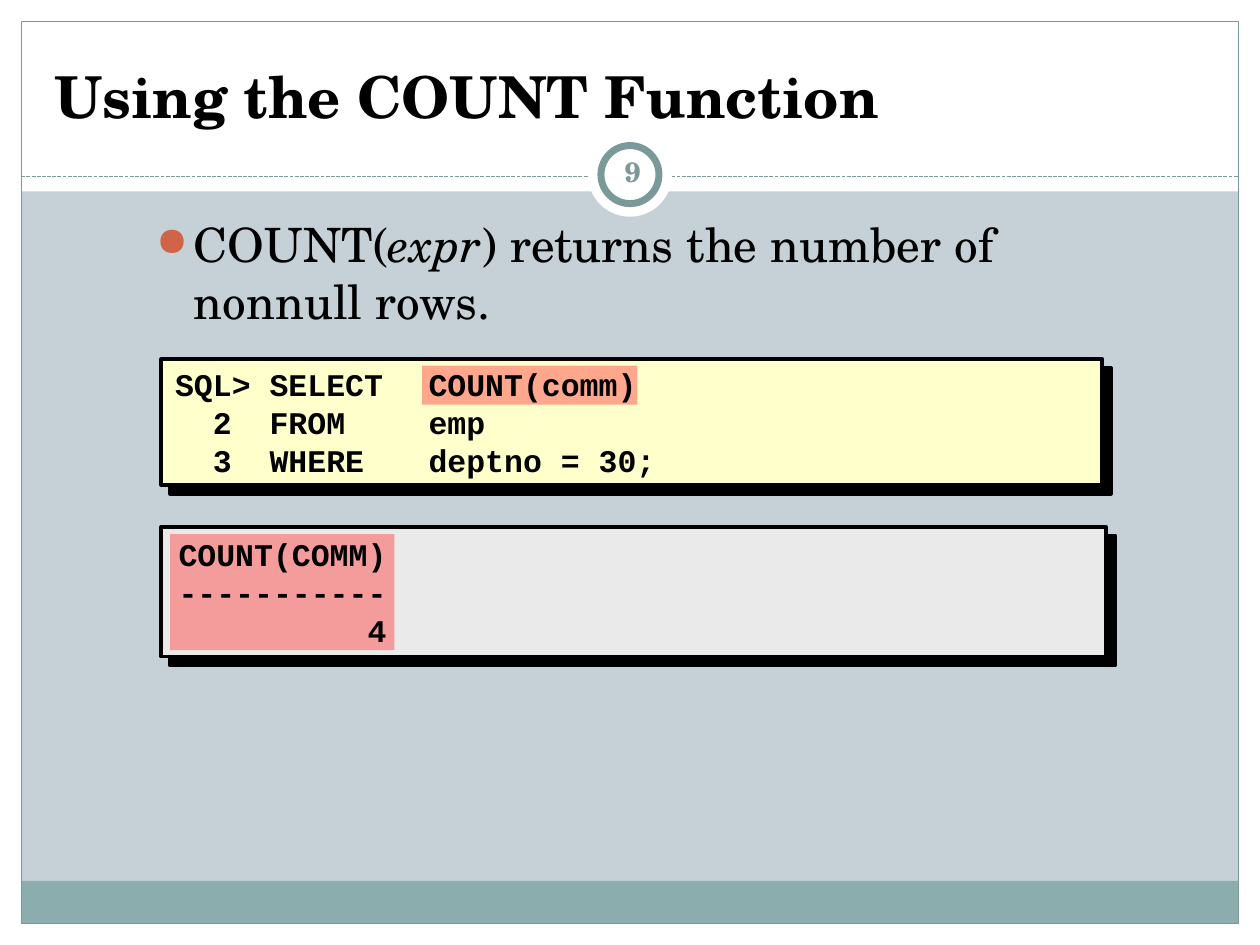
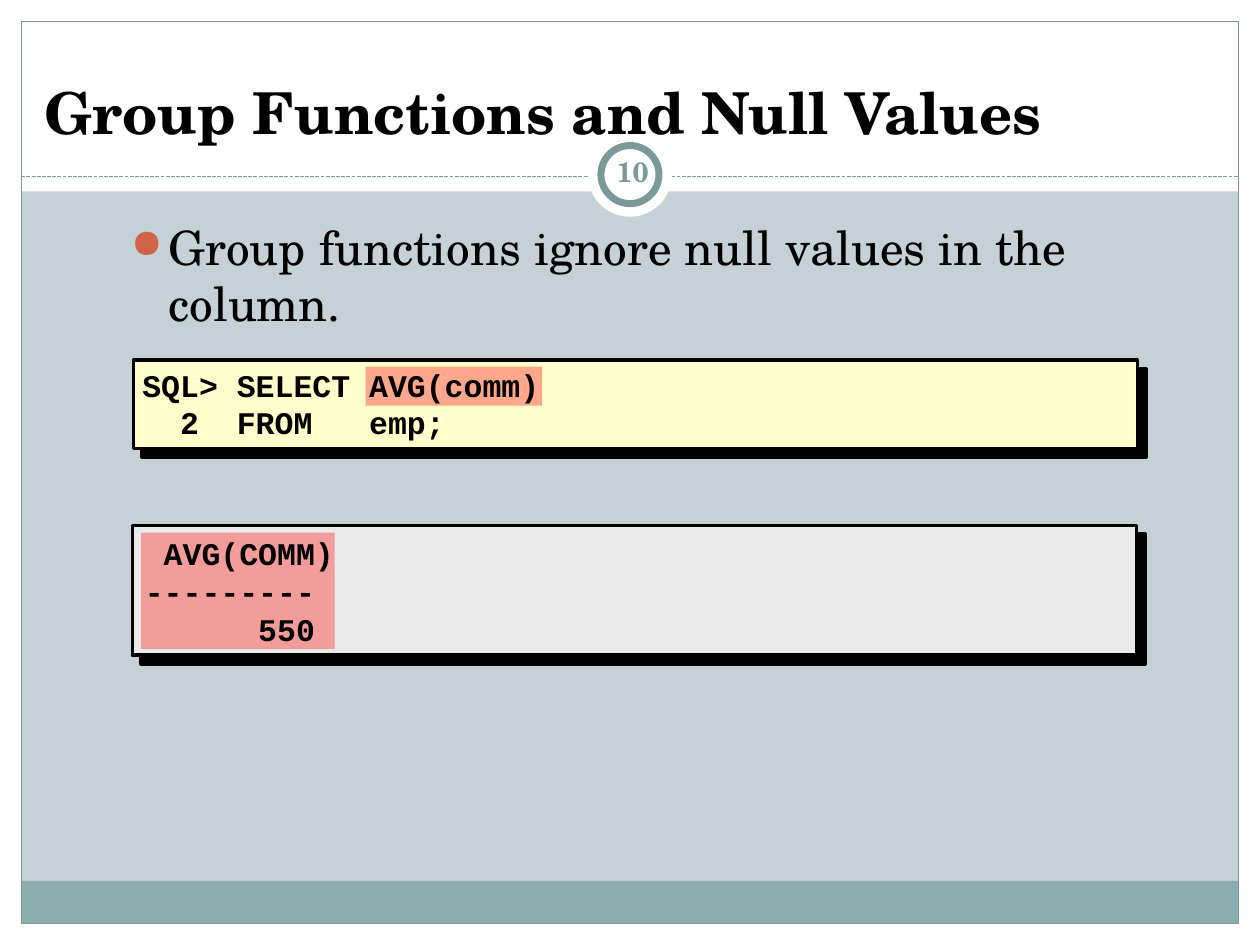
from dataclasses import dataclass
from typing import Any, NamedTuple

from lxml.etree import SubElement
from pptx import Presentation
from pptx.dml.color import RGBColor
from pptx.enum.dml import MSO_LINE
from pptx.enum.shapes import MSO_CONNECTOR, MSO_SHAPE
from pptx.enum.text import MSO_ANCHOR, MSO_AUTO_SIZE, PP_ALIGN
from pptx.oxml.ns import qn
from pptx.util import Cm, Pt

COLORS = {
    "background": "C5D1D7", "white": "FFFFFF", "footer": "8CADAE",
    "frame": "7C999A", "black": "000000", "query": "FFFFCC",
    "result": "EAEAEA", "highlight": "FF5050", "bullet": "D16349",
}
SERIF = "TeX Gyre Schola"
FORMATS = {
    "title": {"name": SERIF, "size": Pt(33), "bold": True},
    "body": {"name": SERIF, "size": Pt(27), "bold": False},
    "code": {"name": "Courier New", "size": Pt(18), "bold": True},
    "number": {"name": SERIF, "size": Pt(16), "bold": True},
}
WIDTH, HEIGHT, MARGIN = 25.4, 19.05, 0.43
INNER_WIDTH = WIDTH - 2 * MARGIN
HEADER_HEIGHT, FOOTER_HEIGHT = 3.86, 0.86
RULE_Y, BADGE_Y = 3.56, 3.52
CODE_TABS = (1.9, 5.11)


class Box(NamedTuple):
    """Left, top, width and height in centimetres."""
    left: float
    top: float
    width: float
    height: float

    def lengths(self) -> list[Cm]:
        return [Cm(value) for value in self]


class Phrase(NamedTuple):
    text: str
    italic: bool = False


@dataclass
class CodePanel:
    fill: str
    frame: Box
    highlight: Box
    text_area: Box
    lines: list[str]
    anchor: Any = MSO_ANCHOR.TOP


@dataclass
class Lesson:
    number: int
    title: str
    title_area: Box
    statement: list[Phrase]
    statement_area: Box
    panels: list[CodePanel]


def rgb(color: str) -> RGBColor:
    return RGBColor.from_string(COLORS[color])


def add_block(slide: Any, box: Box, fill: str | None = None, line: str | None = None,
              weight: float = 0.75, kind: Any = MSO_SHAPE.RECTANGLE) -> Any:
    block = slide.shapes.add_shape(kind, *box.lengths())
    block.shadow.inherit = False
    if fill:
        block.fill.solid()
        block.fill.fore_color.rgb = rgb(fill)
    else:
        block.fill.background()
    if line:
        block.line.color.rgb = rgb(line)
        block.line.width = Pt(weight)
    else:
        block.line.fill.background()
    return block


def apply_format(font: Any, style: str, color: str = "black") -> None:
    for attribute, value in FORMATS[style].items():
        setattr(font, attribute, value)
    font.color.rgb = rgb(color)


def add_text_area(slide: Any, box: Box, anchor: Any = MSO_ANCHOR.TOP) -> Any:
    frame = slide.shapes.add_textbox(*box.lengths()).text_frame
    frame.word_wrap = True
    frame.vertical_anchor = anchor
    return frame


def add_badge_disc(slide: Any, diameter: float, line: str | None = None) -> None:
    box = Box((WIDTH - diameter) / 2, BADGE_Y - diameter / 2, diameter, diameter)
    add_block(slide, box, "white", line, 4, MSO_SHAPE.OVAL)


def add_scenery(slide: Any) -> None:
    slide.background.fill.solid()
    slide.background.fill.fore_color.rgb = rgb("background")
    # White border, header and footer bands
    bottom = HEIGHT - MARGIN
    for box, fill in (
        (Box(0, bottom, WIDTH, MARGIN), "white"),
        (Box(0, 0, WIDTH, HEADER_HEIGHT), "white"),
        (Box(0, 0, MARGIN, HEIGHT), "white"),
        (Box(WIDTH - MARGIN, 0, MARGIN, HEIGHT), "white"),
        (Box(MARGIN, bottom - FOOTER_HEIGHT, INNER_WIDTH, FOOTER_HEIGHT), "footer"),
    ):
        add_block(slide, box, fill)
    add_block(slide, Box(MARGIN, MARGIN, INNER_WIDTH, HEIGHT - 2 * MARGIN), line="frame")
    # Dashed rule under the title
    rule = slide.shapes.add_connector(
        MSO_CONNECTOR.STRAIGHT, Cm(MARGIN), Cm(RULE_Y), Cm(WIDTH - MARGIN), Cm(RULE_Y))
    rule.line.color.rgb = rgb("frame")
    rule.line.width = Pt(0.75)
    rule.line.dash_style = MSO_LINE.SQUARE_DOT
    SubElement(rule.element.spPr, qn("a:effectLst"))
    # Badge for the slide number
    add_badge_disc(slide, 1.7)
    add_badge_disc(slide, 1.17, "frame")


def set_title(slide: Any, text: str, box: Box) -> None:
    title = slide.shapes.title
    title.left, title.top, title.width, title.height = box.lengths()
    title.element.getparent().append(title.element)  # in front of the header band
    frame = title.text_frame
    frame.text = text
    frame.auto_size = MSO_AUTO_SIZE.NONE
    frame.vertical_anchor = MSO_ANCHOR.BOTTOM
    frame.paragraphs[0].alignment = PP_ALIGN.LEFT
    apply_format(frame.paragraphs[0].runs[0].font, "title")


def add_statement(slide: Any, phrases: list[Phrase], box: Box) -> None:
    paragraph = add_text_area(slide, box).paragraphs[0]
    properties = paragraph._p.get_or_add_pPr()
    indent = Cm(0.76)
    properties.set("marL", str(indent))
    properties.set("indent", str(-indent))
    bullet_color = SubElement(properties, qn("a:buClr"))
    SubElement(bullet_color, qn("a:srgbClr"), val=COLORS["bullet"])
    SubElement(properties, qn("a:buSzPct"), val="85000")
    SubElement(properties, qn("a:buChar"), char="●")
    for phrase in phrases:
        run = paragraph.add_run()
        run.text = phrase.text
        apply_format(run.font, "body")
        run.font.italic = phrase.italic


def add_hard_shadow(block: Any) -> None:
    effects = block.element.spPr.find(qn("a:effectLst"))
    shadow = SubElement(effects, qn("a:outerShdw"), blurRad="0", dist=str(Cm(0.25)),
                        dir="2700000", algn="ctr", rotWithShape="0")
    SubElement(shadow, qn("a:srgbClr"), val=COLORS["black"])


def add_panel_frame(slide: Any, panel: CodePanel) -> None:
    add_hard_shadow(add_block(slide, panel.frame, panel.fill, "black", 2))


def add_highlight(slide: Any, panel: CodePanel) -> None:
    highlight = add_block(slide, panel.highlight, "highlight")
    color = highlight.element.spPr.find(qn("a:solidFill")).find(qn("a:srgbClr"))
    SubElement(color, qn("a:alpha"), val="50000")


def add_code(slide: Any, panel: CodePanel) -> None:
    frame = add_text_area(slide, panel.text_area, panel.anchor)
    for index, line in enumerate(panel.lines):
        paragraph = frame.add_paragraph() if index else frame.paragraphs[0]
        tabs = SubElement(paragraph._p.get_or_add_pPr(), qn("a:tabLst"))
        for position in CODE_TABS:
            SubElement(tabs, qn("a:tab"), pos=str(Cm(position)), algn="l")
        run = paragraph.add_run()
        run.text = line
        apply_format(run.font, "code")


def add_number(slide: Any, number: int) -> None:
    frame = add_text_area(slide, Box(12.12, 2.84, 1.27, 1.22), MSO_ANCHOR.MIDDLE)
    for side in ("left", "top", "right", "bottom"):
        setattr(frame, f"margin_{side}", Cm(0.13))
    paragraph = frame.paragraphs[0]
    paragraph.alignment = PP_ALIGN.CENTER
    run = paragraph.add_run()
    run.text = str(number)
    apply_format(run.font, "number", "frame")


LESSONS = [
    Lesson(
        9, "Using the COUNT Function", Box(0.84, 0.64, 23.7, 2.11),
        [Phrase("COUNT("), Phrase("expr", True),
         Phrase(") returns the number of nonnull rows.")],
        Box(2.9, 4.22, 20.52, 2.51),
        [
            CodePanel("query", Box(3.25, 7.24, 18.97, 2.54), Box(8.51, 7.37, 4.34, 0.79),
                      Box(3.28, 7.19, 19.05, 2.62),
                      ["SQL> SELECT\tCOUNT(comm)", "  2  FROM\temp",
                       "  3  WHERE\tdeptno = 30;"], MSO_ANCHOR.MIDDLE),
            CodePanel("result", Box(3.25, 10.62, 19.05, 2.62), Box(3.43, 10.77, 4.52, 2.34),
                      Box(3.35, 10.67, 18.97, 2.54),
                      ["COUNT(COMM)", "-----------", "          4"]),
        ],
    ),
    Lesson(
        10, "Group Functions and Null Values", Box(0.64, 0.64, 21.62, 2.44),
        [Phrase("Group functions ignore null values in the column.")],
        Box(2.39, 4.27, 20.52, 2.51),
        [
            CodePanel("query", Box(2.69, 7.26, 20.24, 1.78), Box(7.37, 7.39, 3.56, 0.79),
                      Box(2.62, 7.21, 20.32, 1.85),
                      ["SQL> SELECT AVG(comm)", "  2  FROM   emp;"], MSO_ANCHOR.MIDDLE),
            CodePanel("result", Box(2.67, 10.59, 20.24, 2.62), Box(2.84, 10.74, 3.91, 2.34),
                      Box(2.67, 10.64, 20.17, 2.54),
                      [" AVG(COMM)", "---------", "      550"]),
        ],
    ),
]


def main() -> None:
    deck = Presentation()
    deck.slide_width, deck.slide_height = Cm(WIDTH), Cm(HEIGHT)
    title_only = deck.slide_layouts[5]
    for lesson in LESSONS:
        slide = deck.slides.add_slide(title_only)
        add_scenery(slide)
        for draw in (add_panel_frame, add_highlight):
            for panel in lesson.panels:
                draw(slide, panel)
        set_title(slide, lesson.title, lesson.title_area)
        add_statement(slide, lesson.statement, lesson.statement_area)
        for panel in lesson.panels:
            add_code(slide, panel)
        add_number(slide, lesson.number)
    deck.save("out.pptx")


if __name__ == "__main__":
    main()
